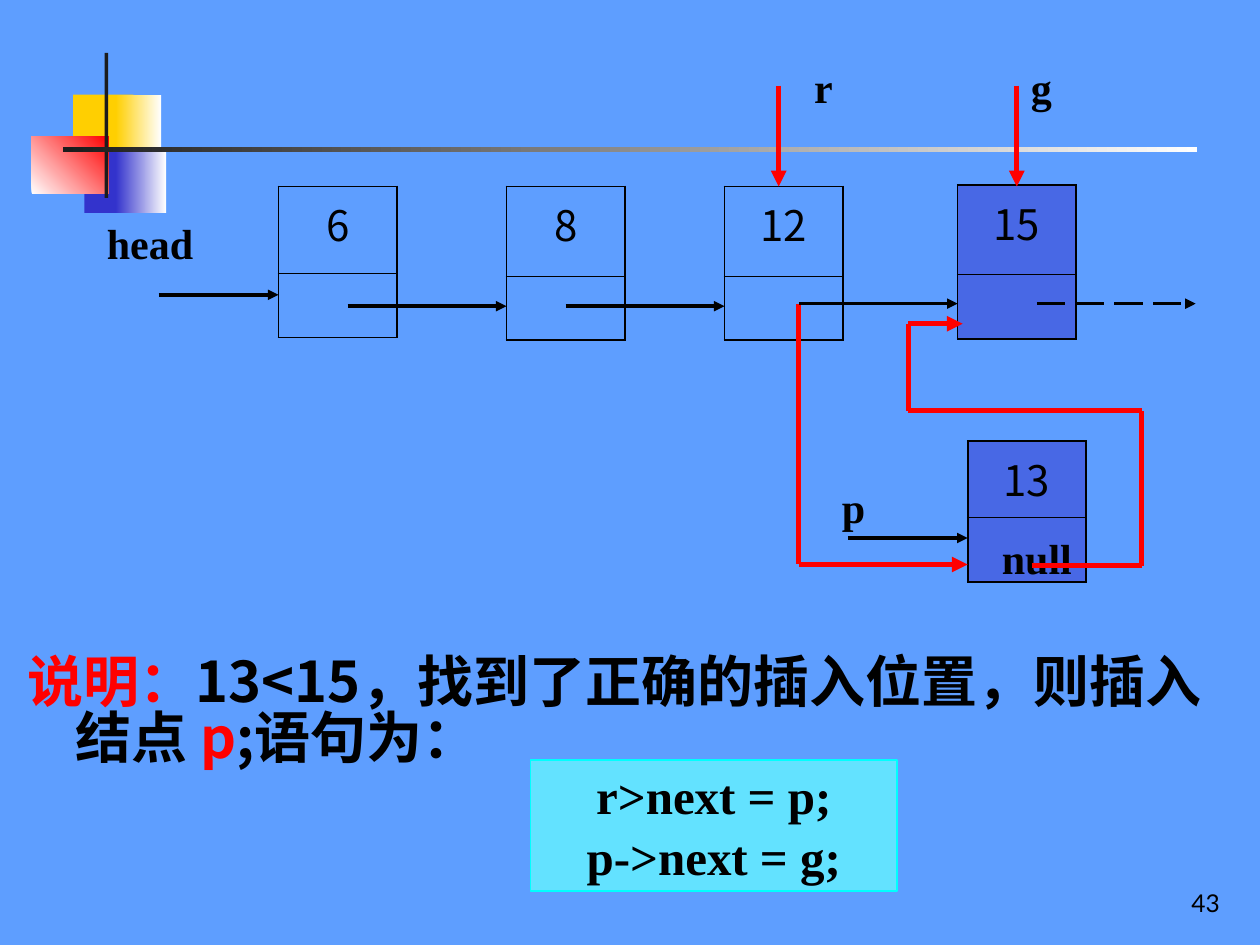
"""Slide on inserting node p between r and g in a sorted linked list."""
from itertools import pairwise

from lxml import etree
from pptx import Presentation
from pptx import util as u
from pptx.dml.color import RGBColor
from pptx.enum import dml, shapes, text
from pptx.oxml import parse_xml
from pptx.oxml.ns import nsdecls, qn

HUE = {"sky": "5E9EFF", "gold": "FFCF01", "blue": "3333CC", "red": "FF0000",
       "white": "FFFFFF", "ink": "1C1C1C", "black": "000000",
       "pale": "66FFFF", "cyan": "00FFFF"}
RGB = {name: RGBColor.from_string(code) for name, code in HUE.items()}
SERIF, SANS, LATO = "Times New Roman", "Noto Sans CJK SC", "Lato"
LEFT, MID, RIGHT = text.PP_ALIGN.LEFT, text.PP_ALIGN.CENTER, text.PP_ALIGN.RIGHT

deck = Presentation()
deck.slide_width, deck.slide_height = u.Inches(10), u.Inches(7.5)
unit = deck.slide_width / 100
slide = deck.slides.add_slide(deck.slide_layouts[6])
slide.background.fill.solid()
slide.background.fill.fore_color.rgb = RGB["sky"]
items = slide.shapes


def grid(*cells):
    return [round(cell * unit) for cell in cells]


def write(para, words, face, size, hue="black", bold=True):
    run = para.add_run()
    run.text = words
    font = run.font
    font.name, font.size, font.bold = face, u.Pt(size), bold
    font.color.rgb = RGB[hue]
    east = etree.SubElement(run._r.get_or_add_rPr(), qn("a:ea"))
    east.set("typeface", face)


# fmt: off
motif = [
    ((5.8, 7.5, 4.8, 5.2), ("gold",), 0),
    ((9.2, 7.5, 3.6, 5.2), ("gold", "white"), 0),
    ((6.7, 11.7, 4.6, 5.2), ("blue",), 0),
    ((9.2, 11.7, 4, 5.2), ("blue", "white"), 0),
    ((2.5, 10.8, 6.1, 4.6), ("white", "red"), 45),
    ((8.3, 4.2, 0.3, 11.5), ("ink",), 0),
    ((5, 11.7, 90, 0.4), ("ink", "white"), 0),
]
for spot, hues, angle in motif:
    tile = items.add_shape(shapes.MSO_SHAPE.RECTANGLE, *grid(*spot))
    tile.shadow.inherit = False
    tile.line.fill.background()
    if len(hues) == 1:
        tile.fill.solid()
        tile.fill.fore_color.rgb = RGB[hues[0]]
    else:
        tile.fill.gradient()
        tile.fill.gradient_angle = angle
        for stop, hue in zip(tile.fill.gradient_stops, hues):
            stop.color.rgb = RGB[hue]

nodes = [
    ("6", 22.1, 14.8, 6.9, False),
    ("8", 40.2, 14.8, 7.1, False),
    ("12", 57.5, 14.8, 7.1, False),
    ("15", 76, 14.7, 7.1, True),
    ("13", 76.8, 35, 6.1, True),
]
for value, left, top, high, new in nodes:
    table = items.add_table(2, 1, *grid(left, top, 9.4, high + 5.1)).table
    table.first_row = table.horz_banding = False
    for row, tall in enumerate((high, 5.1)):
        table.rows[row].height = grid(tall)[0]
        cell = table.cell(row, 0)
        props = cell._tc.get_or_add_tcPr()
        if new:
            cell.fill.solid()
            cell.fill.fore_color.rgb = RGB["blue"]
            tint = props.find(".//" + qn("a:srgbClr"))
            etree.SubElement(tint, qn("a:alpha")).set("val", "50000")
        else:
            cell.fill.background()
        inner = "B" if row == 0 else "T"
        for place, side in enumerate("LRTB"):
            width = u.Pt(0.45 if side == inner else 1.08)
            props.insert(place, parse_xml(
                f'<a:ln{side} {nsdecls("a")} w="{width}"><a:solidFill>'
                f'<a:srgbClr val="{HUE["black"]}"/></a:solidFill></a:ln{side}>'))
    para = table.cell(0, 0).text_frame.paragraphs[0]
    para.alignment = MID
    write(para, value, SANS, 24, bold=False)

labels = [
    ("head", (7.5, 16.8, 10.3, 5), LEFT, SERIF, 24),
    ("p", (62.6, 37.7, 10.3, 5), MID, SERIF, 24),
    ("g", (77.5, 4.4, 10.3, 5), MID, SERIF, 24),
    ("r", (60.2, 4.4, 10.3, 5), MID, SERIF, 24),
    ("null", (77.6, 41.8, 9.4, 5), MID, SERIF, 24),
    ("43", (77, 68.3, 20.8, 5), RIGHT, LATO, 14),
]
for words, spot, align, face, size in labels:
    frame = items.add_textbox(*grid(*spot)).text_frame
    frame.word_wrap = True
    if face == LATO:
        frame.vertical_anchor = text.MSO_ANCHOR.BOTTOM
    frame.paragraphs[0].alignment = align
    write(frame.paragraphs[0], words, face, size, bold=face == SERIF)

routes = [
    ("red", 3, False, [(63.4, 24.1), (63.4, 44.8), (76.8, 44.8)]),
    ("red", 3, False, [(81.9, 44.9), (90.6, 44.9), (90.6, 32.6),
                       (72.1, 32.6), (72.1, 25.7), (76.4, 25.7)]),
    ("red", 3, False, [(61.8, 6.8), (61.8, 14.8)]),
    ("red", 3, False, [(80.7, 6.8), (80.7, 14.8)]),
    ("black", 2, False, [(12.6, 23.4), (22.1, 23.4)]),
    ("black", 2, False, [(27.6, 24.3), (40.2, 24.3)]),
    ("black", 2, False, [(44.9, 24.3), (57.5, 24.3)]),
    ("black", 2, False, [(63.4, 24.1), (76, 24.1)]),
    ("black", 2, False, [(67.3, 42.7), (76.8, 42.7)]),
    ("black", 2, True, [(82.3, 24.1), (94.9, 24.1)]),
]
# fmt: on
for hue, width, dash, points in routes:
    for start, end in pairwise(points):
        link = items.add_connector(shapes.MSO_CONNECTOR.STRAIGHT, *grid(*start, *end))
        link.line.color.rgb = RGB[hue]
        link.line.width = u.Pt(width)
        if dash:
            link.line.dash_style = dml.MSO_LINE.LONG_DASH
        if end == points[-1]:
            head = etree.SubElement(link.line._get_or_add_ln(), qn("a:tailEnd"))
            head.set("type", "triangle")
        etree.SubElement(link._element.spPr, qn("a:effectLst"))

frame = items.add_textbox(*grid(1.2, 51.7, 98.3, 11.7)).text_frame
frame.word_wrap = True
para = frame.paragraphs[0]
para.line_spacing = 0.83
hang = grid(3.8)[0]
para._p.get_or_add_pPr().set("marL", str(hang))
para._p.get_or_add_pPr().set("indent", str(-hang))
for words, hue in [("说明：", "red"), ("13<15，找到了正确的插入位置，则插入结点 ", "black"),
                   ("p", "red"), (";语句为：", "black")]:
    write(para, words, SANS, 32, hue)

code = items.add_shape(shapes.MSO_SHAPE.RECTANGLE, *grid(42.1, 60.3, 29.1, 10.4))
code.shadow.inherit = False
code.fill.solid()
code.fill.fore_color.rgb = RGB["pale"]
tint = code._element.spPr.find(".//" + qn("a:srgbClr"))
etree.SubElement(tint, qn("a:alpha")).set("val", "70000")
code.line.color.rgb = RGB["cyan"]
code.line.width = u.Pt(1)
frame = code.text_frame
frame.word_wrap = True
frame.vertical_anchor = text.MSO_ANCHOR.MIDDLE
for row, words in enumerate(("r>next = p;", "p->next = g;")):
    para = frame.add_paragraph() if row else frame.paragraphs[0]
    para.alignment = MID
    para.space_before = u.Pt(1.5 * row)
    write(para, words, SERIF, 28)

deck.save("out.pptx")
